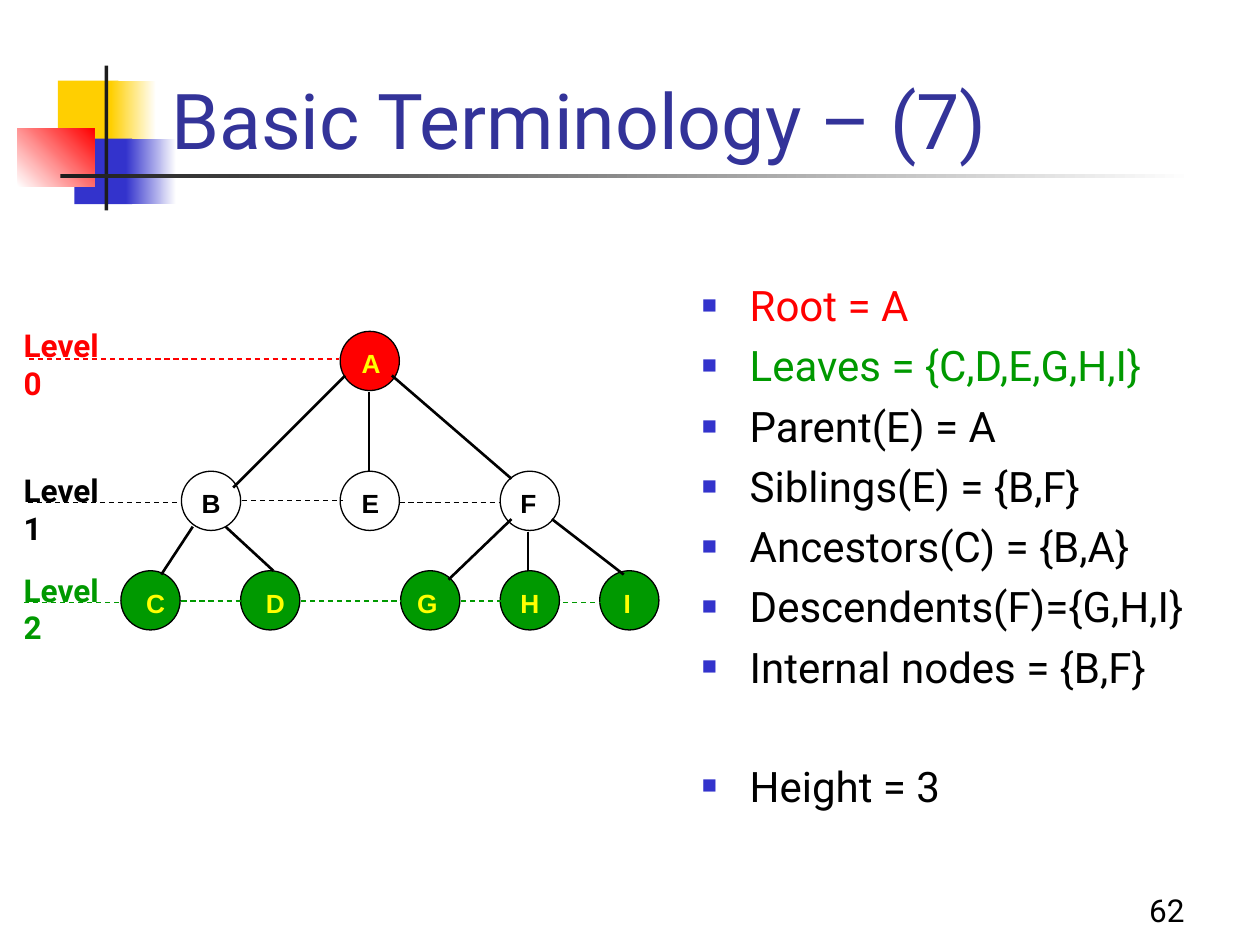
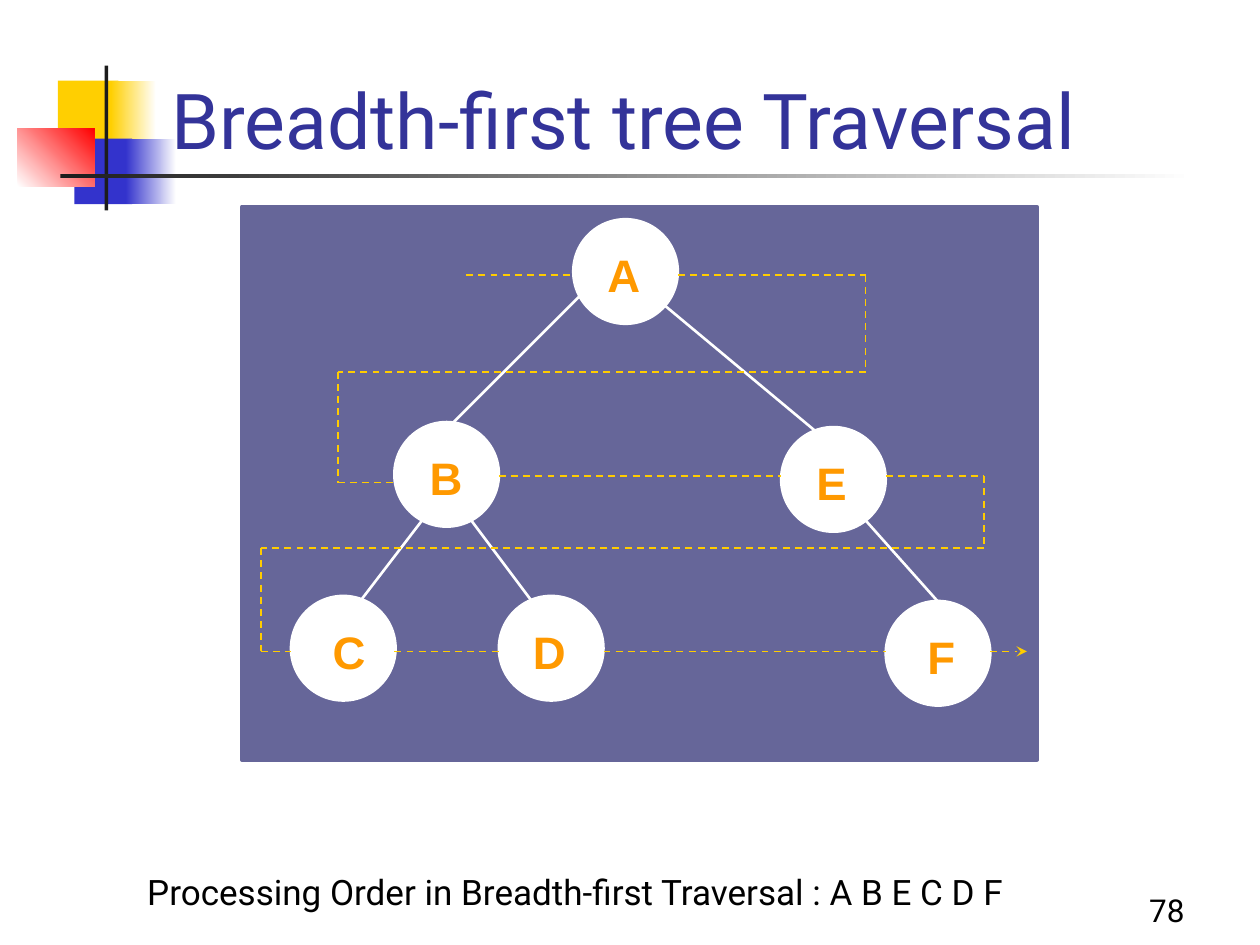
from pptx import Presentation
from pptx.dml.color import RGBColor
from pptx.enum.dml import MSO_LINE
from pptx.enum.shapes import MSO_CONNECTOR, MSO_SHAPE
from pptx.enum.text import MSO_ANCHOR as ANCHOR, MSO_AUTO_SIZE as AUTO, PP_ALIGN as ALIGN
from pptx.oxml.xmlchemy import OxmlElement
from pptx.util import Pt

PX = 9144  # 100 px to the inch
C = {
    "white": "FFFFFF", "black": "000000", "ink": "1C1C1C", "title": "333399",
    "gold": "FFCF01", "blue": "3333CC", "red": "FF0000", "green": "009900",
    "yellow": "FFFF00", "panel": "666699", "orange": "FF9900", "trail": "FFCC00",
}
BODY_FONT, NODE_FONT = "Roboto", "Arial"


def rgb(name):
    return RGBColor.from_string(C[name])


def box(*lengths):
    return [n * PX for n in lengths]


def add_xml(parent, tag, **attrs):
    el = OxmlElement(tag)
    for key, value in attrs.items():
        el.set(key, value)
    parent.append(el)
    return el


# ---- Text ----
def write(p, text, size=18, color="black", font=BODY_FONT, bold=False, align=ALIGN.LEFT):
    p.alignment = align
    r = p.add_run()
    r.text = text
    f = r.font
    f.size, f.name, f.bold = Pt(size), font, bold
    f.color.rgb = rgb(color)


def frame(sp, anchor=ANCHOR.TOP, inset=(10, 5)):
    tf = sp.text_frame
    tf.word_wrap, tf.auto_size, tf.vertical_anchor = True, AUTO.NONE, anchor
    tf.margin_left = tf.margin_right = inset[0] * PX
    tf.margin_top = tf.margin_bottom = inset[1] * PX
    return tf


def add_text(slide, text, place, anchor=ANCHOR.TOP, inset=(10, 5), **fmt):
    sp = slide.shapes.add_textbox(*box(*place))
    write(frame(sp, anchor, inset).paragraphs[0], text, **fmt)


def place_placeholder(sp, place, anchor=ANCHOR.TOP):
    sp.left, sp.top, sp.width, sp.height = box(*place)
    return frame(sp, anchor)


def add_bullets(sp, place, items):
    tf = place_placeholder(sp, place)
    for i, (text, color, before) in enumerate(items):
        p = tf.paragraphs[0] if i == 0 else tf.add_paragraph()
        write(p, text, size=24, color=color)
        p.space_before = Pt(before)
        pPr = p._p.get_or_add_pPr()
        pPr.set("marL", str(38 * PX))
        pPr.set("indent", str(-38 * PX))
        add_xml(add_xml(pPr, "a:buClr"), "a:srgbClr", val=C["blue"])
        add_xml(pPr, "a:buSzPct", val="60000")
        add_xml(pPr, "a:buFont", typeface=NODE_FONT)
        add_xml(pPr, "a:buChar", char="■")


# ---- Shapes and lines ----
def add_shape(slide, kind, place, fill, line=None, width=0.75):
    sp = slide.shapes.add_shape(kind, *box(*place))
    sp.shadow.inherit = False
    if isinstance(fill, tuple):
        start, end, angle = fill
        sp.fill.gradient()
        sp.fill.gradient_angle = angle
        for stop, color in zip(sp.fill.gradient_stops, (start, end)):
            stop.color.rgb = rgb(color)
    else:
        sp.fill.solid()
        sp.fill.fore_color.rgb = rgb(fill)
    if line:
        sp.line.color.rgb, sp.line.width = rgb(line), Pt(width)
    else:
        sp.line.fill.background()
    return sp


def add_line(slide, x1, y1, x2, y2, color, width=1.5, dash=False, arrow=False):
    cn = slide.shapes.add_connector(MSO_CONNECTOR.STRAIGHT, *box(x1, y1, x2, y2))
    cn.line.color.rgb, cn.line.width = rgb(color), Pt(width)
    if dash:
        cn.line.dash_style = MSO_LINE.DASH
    if arrow:
        add_xml(cn.line._get_or_add_ln(), "a:tailEnd", type="stealth")
    add_xml(cn._element.spPr, "a:effectLst")


def add_tree(slide, nodes, edges, size, line, width, edge_color, label):
    """Nodes are (name, left, top, label shift, fill, text colour)."""
    for _, x, y, _, fill, _ in nodes:
        add_shape(slide, MSO_SHAPE.FLOWCHART_CONNECTOR, (x, y, size, size), fill, line, width)
    for edge in edges:
        add_line(slide, *edge, edge_color)
    for name, x, y, shift, _, color in nodes:
        place = (x + shift, y + label["drop"], *label["size"])
        add_text(slide, name, place, inset=label["inset"], size=label["pt"],
                 color=color, font=NODE_FONT, bold=True)


# ---- Shared slide design ----
DESIGN = [
    ((46, 64, 48, 52), "gold"),
    ((88, 64, 36, 52), ("gold", "white", 0)),
    ((59, 110, 46, 52), "blue"),
    ((100, 110, 40, 52), ("blue", "white", 0)),
    ((14, 102, 61, 46), ("white", "red", 45)),
    ((83, 52, 3, 115), "ink"),
    ((48, 138, 900, 3), ("ink", "white", 0)),
]


def new_slide(prs, layout, title, number):
    slide = prs.slides.add_slide(prs.slide_layouts[layout])
    tree = slide.shapes._spTree
    for i, (place, fill) in enumerate(DESIGN):
        sp = add_shape(slide, MSO_SHAPE.RECTANGLE, place, fill)
        tree.insert(2 + i, sp._element)  # behind the placeholders
    tf = place_placeholder(slide.shapes.title, (126, 11, 852, 125), ANCHOR.BOTTOM)
    write(tf.paragraphs[0], title, size=44, color="title")
    add_text(slide, number, (742, 692, 208, 50), ANCHOR.BOTTOM, align=ALIGN.RIGHT)
    return slide


# ---- Slides ----
def terminology_slide(prs):
    slide = new_slide(prs, 1, "Basic Terminology – (7)", "62")
    gap, wide_gap = 5.6, 39.2
    add_bullets(slide.placeholders[1], (547, 217, 435, 491), [
        ("Root = A", "red", gap),
        ("Leaves = {C,D,E,G,H,I}", "green", gap),
        ("Parent(E) = A", "black", gap),
        ("Siblings(E) = {B,F}", "black", gap),
        ("Ancestors(C) = {B,A}", "black", gap),
        ("Descendents(F)={G,H,I}", "black", gap),
        ("Internal nodes = {B,F}", "black", gap),
        ("Height = 3", "black", wide_gap),
    ])

    # Tree, one row per level
    levels = [
        (263, "red", "yellow", [("A", 270, 4)]),
        (374, "white", "black", [("B", 144, 3), ("E", 270, 4), ("F", 397, 3)]),
        (453, "green", "yellow", [("C", 96, 7), ("D", 191, 7), ("G", 318, 0),
                                  ("H", 397, 3), ("I", 476, 6)]),
    ]
    nodes = [(name, x, y, shift, fill, color)
             for y, fill, color, row in levels for name, x, shift in row]
    edges = [
        (274, 298, 185, 387), (293, 311, 293, 374), (311, 298, 406, 380),
        (153, 418, 128, 456), (179, 418, 217, 453),
        (419, 422, 419, 453), (406, 412, 356, 460), (438, 412, 495, 456),
    ]
    add_tree(slide, nodes, edges, 47, "black", 0.75, "black",
             {"drop": 7, "size": (38, 35), "inset": (13, 6), "pt": 15})

    # Level guides as (from x, to x, y), and their labels
    guides = {
        "red": [(23, 269, 285)],
        "black": [(22, 142, 399), (192, 272, 397), (317, 396, 399)],
        "green": [(19, 99, 478), (144, 192, 477), (239, 318, 477),
                  (366, 398, 477), (447, 477, 478)],
    }
    for level, (color, spans) in enumerate(guides.items()):
        for x1, x2, y in spans:
            add_line(slide, x1, y, x2, y, color, 0.75, dash=True)
        top = (254, 369, 448)[level]
        add_text(slide, f"Level {level}", (9, top, 90, 33), color=color, bold=True)


def traversal_slide(prs):
    slide = new_slide(prs, 5, "Breadth-first tree Traversal", "78")
    add_text(slide, "Processing Order in Breadth-first Traversal : A B E C D F",
             (107, 686, 732, 44), size=20)
    add_shape(slide, MSO_SHAPE.RECTANGLE, (192, 164, 631, 439), "panel", "panel", 2.25)

    # Tree
    spots = [("A", 455, 174, 5), ("B", 313, 335, 6), ("E", 620, 339, 6),
             ("C", 231, 473, 11), ("D", 396, 473, 5), ("F", 703, 477, 11)]
    nodes = [(*spot, "white", "orange") for spot in spots]
    edges = [(460, 235, 360, 335), (527, 242, 647, 342), (335, 413, 286, 477),
             (374, 413, 422, 477), (687, 413, 744, 477)]
    add_tree(slide, nodes, edges, 83, "white", 1.5, "white",
             {"drop": 11, "size": (66, 61), "inset": (22, 11), "pt": 26})

    # Visiting order, broken where it passes a node
    trail = [
        [(370, 218), (455, 218)],
        [(538, 218), (687, 218), (687, 295), (268, 295), (268, 383), (313, 383)],
        [(396, 378), (620, 378)],
        [(703, 378), (781, 378), (781, 435), (207, 435), (207, 517), (231, 517)],
        [(313, 517), (396, 517)],
        [(479, 517), (703, 517)],
        [(786, 517), (815, 517)],
    ]
    for run in trail:
        for start, end in zip(run, run[1:]):
            add_line(slide, *start, *end, "trail", 1, dash=True, arrow=run is trail[-1])


def main():
    prs = Presentation()
    prs.slide_width, prs.slide_height = box(1000, 750)
    terminology_slide(prs)
    traversal_slide(prs)
    prs.save("out.pptx")


if __name__ == "__main__":
    main()
